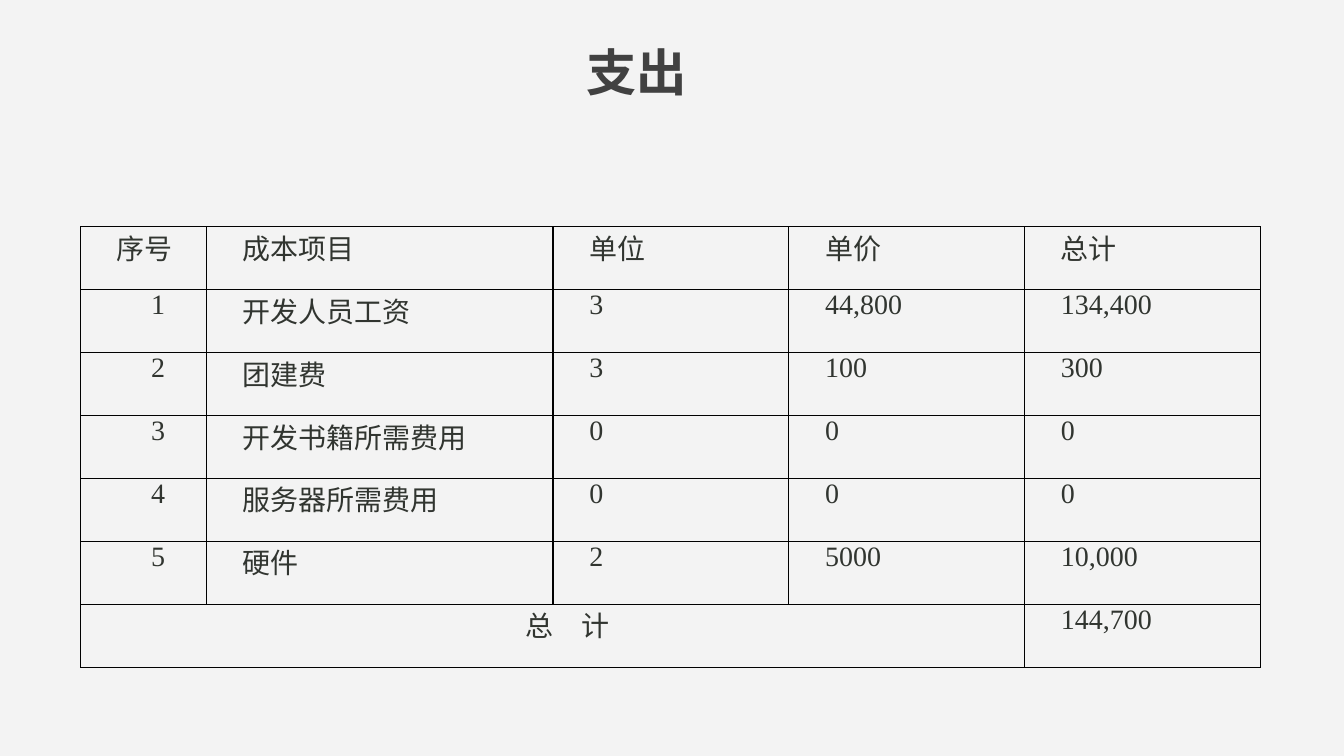
from lxml import etree
from pptx import Presentation
from pptx import util as u
from pptx.dml.color import RGBColor
from pptx.enum import text
from pptx.oxml.ns import qn

COLORS = {"background": "F3F3F3", "title": "414141", "body": "313530", "border": "000000"}
ALIGN = text.PP_ALIGN

COLUMN_WIDTHS = [1.25, 3.44, 2.34, 2.34, 2.34]
HEADERS = ["序号", "成本项目", "单位", "单价", "总计"]
COSTS = [
    ["1", "开发人员工资", "3", "44,800", "134,400"],
    ["2", "团建费", "3", "100", "300"],
    ["3", "开发书籍所需费用", "0", "0", "0"],
    ["4", "服务器所需费用", "0", "0", "0"],
    ["5", "硬件", "2", "5000", "10,000"],
]
TOTAL = ["总　计", "", "", "", "144,700"]


def write(tf, words, size, font, color, bold=False, align=ALIGN.CENTER, indent=0):
    """Fill a text frame with one formatted paragraph; indent is for its first line."""
    p = tf.paragraphs[0]
    p.alignment = align
    if indent:
        p_pr = p._p.get_or_add_pPr()
        p_pr.set("marL", "0")
        p_pr.set("indent", str(u.Inches(indent)))
    r = p.add_run()
    r.text = words
    r.font.size = u.Pt(size)
    r.font.name = font
    r.font.bold = bold
    r.font.color.rgb = RGBColor.from_string(COLORS[color])


def set_borders(cell, color, width):
    tc_pr = cell._tc.get_or_add_tcPr()
    for i, side in enumerate(("lnL", "lnR", "lnT", "lnB")):
        line = etree.Element(qn(f"a:{side}"), w=str(u.Pt(width)))
        fill = etree.SubElement(line, qn("a:solidFill"))
        etree.SubElement(fill, qn("a:srgbClr"), val=COLORS[color])
        tc_pr.insert(i, line)


def add_title(s, words, left, top, width, height):
    title = s.shapes.title
    title.left, title.top = u.Inches(left), u.Inches(top)
    title.width, title.height = u.Inches(width), u.Inches(height)
    tf = title.text_frame
    tf.word_wrap = True
    tf.auto_size = text.MSO_AUTO_SIZE.SHAPE_TO_FIT_TEXT
    tf.vertical_anchor = text.MSO_ANCHOR.TOP
    write(tf, words, 36, "Quicksand", "title", bold=True)


def add_cost_table(s, left, top, height):
    rows = [HEADERS, *COSTS, TOTAL]
    last = len(rows) - 1
    frame = s.shapes.add_table(len(rows), len(HEADERS), u.Inches(left), u.Inches(top),
                               u.Inches(sum(COLUMN_WIDTHS)), u.Inches(height))
    table = frame.table
    table.first_row = table.horz_banding = False
    for column, width in zip(table.columns, COLUMN_WIDTHS):
        column.width = u.Inches(width)
    table.cell(last, 0).merge(table.cell(last, 3))

    for i, row in enumerate(rows):
        for j, words in enumerate(row):
            cell = table.cell(i, j)
            cell.fill.background()
            set_borders(cell, "border", 1)
            cell.margin_left = cell.margin_right = u.Inches(0.07)
            cell.margin_top = cell.margin_bottom = 0
            if words:
                centred = i > 0 and j == 0
                write(cell.text_frame, words, 20, "Times New Roman", "body", indent=0.29,
                      align=ALIGN.CENTER if centred else ALIGN.JUSTIFY)


def add_expense_slide(prs):
    s = prs.slides.add_slide(prs.slide_layouts[5])
    s.background.fill.solid()
    s.background.fill.fore_color.rgb = RGBColor.from_string(COLORS["background"])
    add_cost_table(s, 0.8, 2.25, 4.37)
    add_title(s, "支出", 3.76, 0.36, 5.12, 0.71)


def main():
    prs = Presentation()
    prs.slide_width, prs.slide_height = u.Inches(13.34), u.Inches(7.5)
    add_expense_slide(prs)
    prs.save("out.pptx")


if __name__ == "__main__":
    main()
